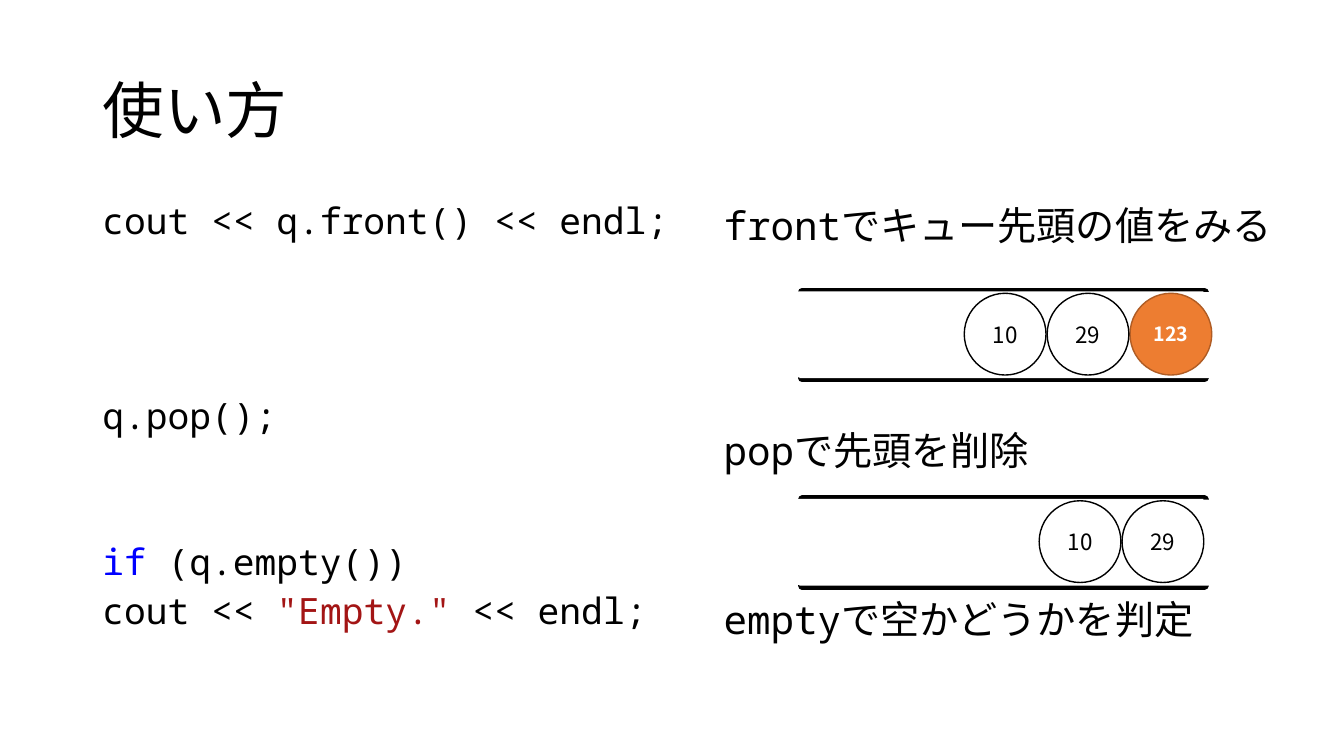
from lxml.etree import SubElement
from pptx import Presentation
from pptx.dml.color import RGBColor
from pptx.enum.shapes import MSO_SHAPE as Shape
from pptx.enum.text import MSO_ANCHOR as Anchor, MSO_AUTO_SIZE as AutoSize, PP_ALIGN as Align
from pptx.oxml.ns import qn
from pptx.util import Pt

THEME = {
    "black": "000000", "white": "FFFFFF", "keyword": "0000FF", "string": "A31515",
    "orange": "ED7D31", "orange_edge": "AF5C24",
    "sans": "Noto Sans CJK JP", "mono": "Noto Sans Mono",
    "title": 44, "code": 25.9, "note": 28, "item": 16, "front_item": 14,
}


def write(para, text, face, size, ink="black", bold=False):
    span = para.add_run()
    span.text = text
    look = {"name": THEME[face], "size": Pt(THEME[size]), "bold": bold}
    for key, value in look.items():
        setattr(span.font, key, value)
    span.font.color.rgb = RGBColor.from_string(THEME[ink])
    # East Asian characters use the same typeface
    SubElement(span.font._element, qn("a:ea"), typeface=THEME[face])


def draw(shapes, kind, bounds, fill, edge=None, weight=0):
    shape = shapes.add_shape(kind, *[Pt(length) for length in bounds])
    shape.shadow.inherit = False
    shape.fill.solid()
    shape.fill.fore_color.rgb = RGBColor.from_string(THEME[fill])
    if edge:
        shape.line.color.rgb = RGBColor.from_string(THEME[edge])
        shape.line.width = Pt(weight)
    else:
        shape.line.fill.background()
    return shape


deck = Presentation()
deck.slide_width, deck.slide_height = Pt(960), Pt(540)
page = deck.slides.add_slide(deck.slide_layouts[5])

# Title
title = page.shapes.title
place = {"left": 66, "top": 28.8, "width": 828, "height": 104.4}
for key, value in place.items():
    setattr(title, key, Pt(value))
frame = title.text_frame
for key, value in {"auto_size": AutoSize.NONE, "vertical_anchor": Anchor.MIDDLE}.items():
    setattr(frame, key, value)
para = frame.paragraphs[0]
para.alignment, para.line_spacing = Align.LEFT, 0.9
write(para, "使い方", "sans", "title")

# Code on the left, explanations on the right: (space before, spans)
code = [
    (0, [("cout << q.front() << endl;", "black")]),
    (114.5, [("q.pop();", "black")]),
    (79.6, [("if", "keyword"), (" (q.empty())", "black")]),
    (10, [("cout << ", "black"), ('"Empty."', "string"), (" << endl;", "black")]),
]
notes = [
    (0, [("frontでキュー先頭の値をみる", "black")]),
    (130.3, [("popで先頭を削除", "black")]),
    (90.6, [("emptyで空かどうかを判定", "black")]),
]
columns = [(66, 422, "code", 0.8, code), (509.8, 416.2, "note", 0.9, notes)]
for left, width, size, spacing, lines in columns:
    box = page.shapes.add_textbox(Pt(left), Pt(144), Pt(width), Pt(342.7))
    frame = box.text_frame
    frame.word_wrap = True
    for index, (gap, spans) in enumerate(lines):
        para = frame.add_paragraph() if index else frame.paragraphs[0]
        para.line_spacing, para.space_before = spacing, Pt(gap)
        for text, ink in spans:
            write(para, text, "mono", size, ink)

# Queues: a tube open at both ends, items inside with the front at the right
TUBE_HEIGHT, DIAMETER, PITCH = 61.4, 58.4, 59.2
plain = ("item", "white", "black", "black", False)
front = ("front_item", "orange", "orange_edge", "white", True)
queues = [
    (208.7, 688.8, [("10", plain), ("29", plain), ("123", front)]),
    (356.9, 742.3, [("10", plain), ("29", plain)]),
]
for top, first_left, items in queues:
    # Two white covers open the ends of the outlined tube
    tube = page.shapes.add_group_shape()
    draw(tube.shapes, Shape.RECTANGLE, (573, top, 287.3, TUBE_HEIGHT), "white", "black", 6)
    for left, cover_top in ((571, top), (559.4, top - 0.5)):
        draw(tube.shapes, Shape.RECTANGLE, (left, cover_top, 300.2, TUBE_HEIGHT), "white")

    for index, (value, (size, fill, edge, ink, bold)) in reversed(list(enumerate(items))):
        bounds = (first_left + index * PITCH, top + 0.8, DIAMETER, DIAMETER)
        item = draw(page.shapes, Shape.OVAL, bounds, fill, edge, 1)
        frame = item.text_frame
        frame.vertical_anchor = Anchor.MIDDLE
        for side in ("left", "top", "right", "bottom"):
            setattr(frame, f"margin_{side}", 0)
        para = frame.paragraphs[0]
        para.alignment = Align.CENTER
        write(para, value, "sans", size, ink, bold)

deck.save("out.pptx")
